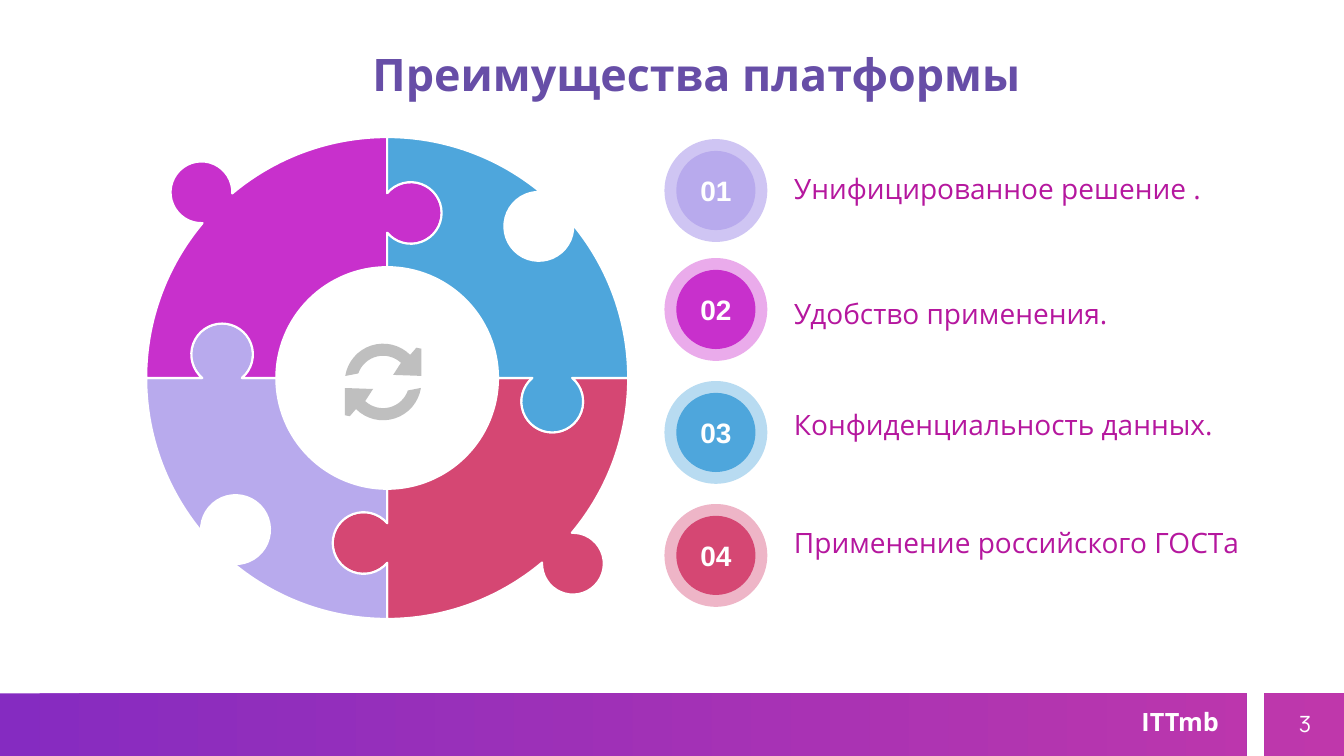
import math
from dataclasses import dataclass
from lxml import etree
from pptx import Presentation, util as u
from pptx.dml.color import RGBColor
from pptx.enum import shapes, text
from pptx.oxml import ns


@dataclass(frozen=True)
class Theme:
    white: str = "FFFFFF"
    title: str = "674EA7"
    body: str = "B5179E"
    icon: str = "BFBFBF"
    blue: str = "4EA6DC"
    red: str = "D54773"
    lilac: str = "B8AAED"
    pink: str = "C830CC"
    start: str = "7209B7"
    stop: str = "B5179E"
    alpha: int = 85
    font: str = "Open Sans"
    digit: str = "Arial"
    page: str = "Manrope"
    big: int = 32
    mid: int = 20
    brand: int = 18
    small: int = 16


T = Theme()
WIDE, HIGH = 13.33, 7.5


# Shared helpers
def paint(shape, fill, line=None):
    shape.shadow.inherit = False
    shape.fill.solid()
    shape.fill.fore_color.rgb = RGBColor.from_string(fill)
    if line:
        shape.line.color.rgb = RGBColor.from_string(line)
        shape.line.width = u.Pt(1.5)
    else:
        shape.line.fill.background()


def write(shape, words, size, color, font=T.font, bold=False, pad=0.0,
          align=text.PP_ALIGN.CENTER, anchor=text.MSO_ANCHOR.TOP):
    frame = shape.text_frame
    frame.word_wrap = True
    frame.auto_size = text.MSO_AUTO_SIZE.NONE
    frame.vertical_anchor = anchor
    frame.margin_left = frame.margin_right = u.Inches(pad)
    frame.margin_top = frame.margin_bottom = u.Inches(pad)
    para = frame.paragraphs[0]
    para.alignment = align
    run = para.add_run()
    run.text = words
    run.font.size = u.Pt(size)
    run.font.name = font
    run.font.bold = bold
    run.font.color.rgb = RGBColor.from_string(color)


def label(slide, box, words, size, color, **style):
    area = slide.shapes.add_textbox(*map(u.Inches, box))
    write(area, words, size, color, **style)


def disc(slide, x, y, size, fill):
    shape = slide.shapes.add_shape(
        shapes.MSO_SHAPE.OVAL, *map(u.Inches, (x, y, size, size)))
    paint(shape, fill)
    return shape


def outline(slide, loops):
    loops = [[(u.Inches(x), u.Inches(y)) for x, y in loop] for loop in loops]
    pen = slide.shapes.build_freeform(*loops[0][0])
    for loop in loops:
        if loop is not loops[0]:
            pen.move_to(*loop[0])
        pen.add_line_segments(loop[1:], close=True)
    return pen.convert_to_shape()


def bend(shape):
    # Every three points become one cubic curve
    lines = list(shape._element.iter(ns.qn("a:lnTo")))
    for i in range(0, len(lines), 3):
        curve = etree.Element(ns.qn("a:cubicBezTo"))
        lines[i].addprevious(curve)
        for line in lines[i:i + 3]:
            curve.append(line[0])
            line.getparent().remove(line)
    return shape


# Curve points, with angles in degrees clockwise from the right
def arc(x, y, radius, first, last):
    count = math.ceil(abs(last - first) / 75)
    step = math.radians(last - first) / count
    pull = 4 / 3 * math.tan(step / 4)
    points = []
    for i in range(count + 1):
        turn = math.radians(first) + i * step
        c, s = radius * math.cos(turn), radius * math.sin(turn)
        points += [(x + c + pull * s, y + s - pull * c), (x + c, y + s),
                   (x + c - pull * s, y + s + pull * c)]
    return points[1:-1]


def chain(*parts):
    points = list(parts[0])
    for part in parts[1:]:
        points += [points[-1], part[0], *part]
    return points


def spin(points, angle):
    c, s = math.cos(math.radians(angle)), math.sin(math.radians(angle))
    return [(x * c - y * s, x * s + y * c) for x, y in points]


def shift(points, x, y):
    return [(x + a, y + b) for a, b in points]


def piece(outer, inner, knob):
    # Knob across the seam between two neighbours
    reach, lift, small = 0.685 * outer, 0.098 * outer, 0.128 * outer
    dip = math.degrees(math.asin(lift / small))
    seam = arc(reach, lift, small, 180 + dip, -dip)
    # Knob or notch in the middle of the rim
    far, size = (1.09, 0.128) if knob else (0.89, 0.143)
    far, size = far * outer, size * outer
    half = math.acos((outer ** 2 + far ** 2 - size ** 2) / (2 * outer * far))
    edge = math.degrees(math.atan2(-outer * math.sin(half),
                                   outer * math.cos(half) - far))
    bump = arc(far, 0, size, edge, -edge if knob else -edge - 360)
    half = math.degrees(half)
    return chain(arc(0, 0, outer, 0, 45 - half), spin(bump, 45),
                 arc(0, 0, outer, 45 + half, 90), spin(seam[::-1], 90),
                 arc(0, 0, inner, 90, 0), seam, [(outer, 0)])


# Puzzle wheel with the refresh icon
def wheel(slide, box):
    left, top, size = box
    outer = size / 2
    x, y = left + outer, top + outer
    for turn, fill in enumerate((T.red, T.lilac, T.pink, T.blue)):
        part = piece(outer, 0.46 * outer, turn % 2 == 0)
        loop = shift(spin(part, 90 * turn), x, y)
        paint(bend(outline(slide, [loop])), fill, T.white)
    tip = [(0.33, -0.34), (0.38, -0.33), (0.38, -0.06), (0.1, -0.07)]
    arrow = chain(arc(0, 0, 0.38, 189, 315), *([spot] for spot in tip),
                  arc(0, 0, 0.26, 313, 199))
    icon = [shift(spin(arrow, angle), x - 0.04, y + 0.04) for angle in (0, 180)]
    paint(bend(outline(slide, icon)), T.icon)


# One numbered benefit
def benefit(slide, box, mark, words, drop, fill, halo):
    left, top, width, size = box
    rim = 0.115 * size
    disc(slide, left, top, size, halo)
    dot = disc(slide, left + rim, top + rim, size - 2 * rim, fill)
    write(dot, mark, T.mid, T.white, font=T.digit, bold=True,
          anchor=text.MSO_ANCHOR.MIDDLE)
    inset = 1.26 * size
    label(slide, (left + inset, top + drop, width - inset, 0.35), words, T.mid,
          T.body, align=text.PP_ALIGN.LEFT)


def benefits(slide, left, width):
    rows = (
        (1.38, 0.32, "Унифицированное решение .", T.lilac, "CFC5F3"),
        (2.56, 0.38, "Удобство применения.", T.pink, "EAABEB"),
        (3.78, 0.26, "Конфиденциальность данных.", T.blue, "B8DBF1"),
        (5.0, 0.21, "Применение российского ГОСТа", T.red, "EEB5C7"),
    )
    for i, (top, drop, words, fill, halo) in enumerate(rows, 1):
        benefit(slide, (left, top, width, 1.02), f"{i:02}", words, drop,
                fill, halo)


# Footer band, team name and page number
def footer(slide, top):
    spans = ((0, 12.36), (12.54, WIDE))
    band = outline(slide, [[(a, top), (b, top), (b, HIGH), (a, HIGH)]
                           for a, b in spans])
    paint(band, T.start)
    band.fill.gradient()
    band.fill.gradient_angle = 0
    for stop, color in zip(band.fill.gradient_stops, (T.start, T.stop)):
        stop.color.rgb = RGBColor.from_string(color)
    for tint in band._element.spPr.iter(ns.qn("a:srgbClr")):
        etree.SubElement(tint, ns.qn("a:alpha"), val=str(T.alpha * 1000))
    label(slide, (11.13, top + 0.03, 1.15, 0.5), "ITTmb", T.brand, T.white,
          bold=True, pad=0.1)
    label(slide, (12.56, top, 0.77, 0.6), "3", T.small, T.white, font=T.page,
          anchor=text.MSO_ANCHOR.MIDDLE)


def heading(slide, box):
    title = slide.shapes.title
    title.left, title.top, title.width, title.height = map(u.Inches, box)
    write(title, "Преимущества платформы", T.big, T.title, bold=True, pad=0.1)


def main():
    deck = Presentation()
    deck.slide_width, deck.slide_height = u.Inches(WIDE), u.Inches(HIGH)
    slide = deck.slides.add_slide(deck.slide_layouts[5])
    footer(slide, 6.88)
    heading(slide, (2.69, 0.36, 8.44, 0.73))
    wheel(slide, (1.45, 1.36, 4.78))
    benefits(slide, 6.59, 5.9)
    deck.save("out.pptx")


if __name__ == "__main__":
    main()
